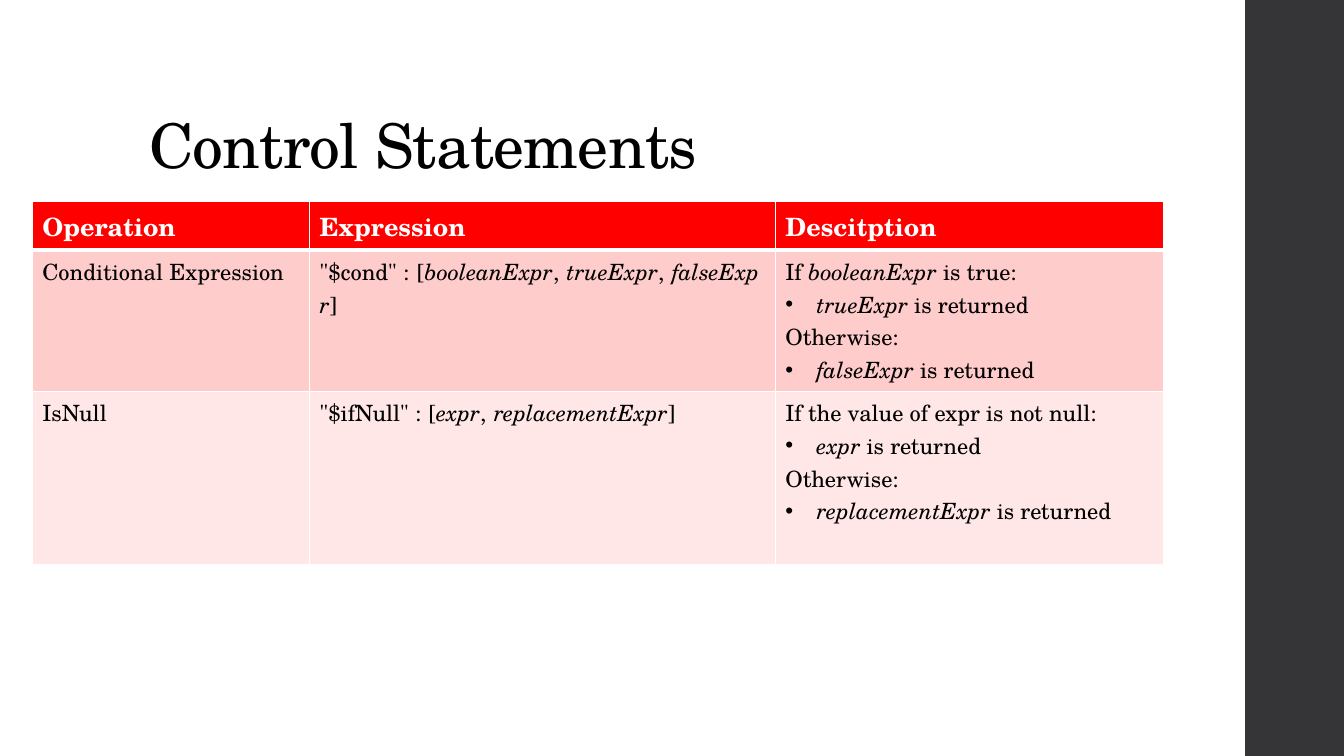
from dataclasses import dataclass

from lxml.etree import SubElement
from pptx import Presentation
from pptx.dml.color import RGBColor
from pptx.enum.shapes import MSO_SHAPE
from pptx.enum.text import MSO_ANCHOR
from pptx.oxml.ns import qn
from pptx.slide import Slide
from pptx.table import _Cell
from pptx.text.text import _Paragraph, _Run
from pptx.util import Inches, Pt


@dataclass(frozen=True)
class Theme:
    """Colours, font and type sizes of the slide."""
    font: str = "TeX Gyre Schola"
    ink: str = "000000"
    paper: str = "FFFFFF"
    sidebar: str = "353537"
    header: str = "FF0000"
    title_size: int = 44
    header_size: int = 18
    body_size: int = 16
    thin_rule: int = 1
    thick_rule: int = 3


@dataclass(frozen=True)
class TableRow:
    """A table row; asterisks enclose italics, a leading bullet makes a list item."""
    height: float
    fill: str
    cells: tuple[str, ...]


THEME = Theme()
BULLET = "•"
COLUMN_WIDTHS = (2.75, 4.62, 3.85)
ROWS = (
    TableRow(0.48, THEME.header, ("Operation", "Expression", "Descitption")),
    TableRow(1.4, "FFCCCC", (
        "Conditional Expression",
        '"$cond" :\u00a0[*booleanExpr*,\u00a0*trueExpr*,\u00a0*falseExpr*]',
        "If *booleanExpr* is true:\n•*trueExpr* is returned\n"
        "Otherwise:\n•*falseExpr* is returned")),
    TableRow(1.72, "FFE7E7", (
        "IsNull",
        '"$ifNull" :\u00a0[*expr*,\u00a0*replacementExpr*]',
        "If the value of expr is not null:\n•*expr* is returned\n"
        "Otherwise:\n•*replacementExpr* is returned")),
)


def style_span(span: _Run, size: int, color: str, bold: bool = False, italic: bool = False) -> None:
    """Apply the theme font and the given look to one run."""
    span.font.name = THEME.font
    span.font.size = Pt(size)
    span.font.color.rgb = RGBColor.from_string(color)
    span.font.bold = bold
    span.font.italic = italic


def add_bullet(para: _Paragraph) -> None:
    """Give a paragraph a hanging bullet."""
    properties = para._p.get_or_add_pPr()
    properties.set("marL", str(Inches(0.31)))
    properties.set("indent", str(-Inches(0.31)))
    SubElement(properties, qn("a:buFont"), typeface="Arial")
    SubElement(properties, qn("a:buChar"), char=BULLET)


def add_borders(cell: _Cell, top: int, bottom: int) -> None:
    """Draw the white rules around a cell."""
    properties = cell._tc.get_or_add_tcPr()
    widths = {"L": THEME.thin_rule, "R": THEME.thin_rule, "T": top, "B": bottom}
    for side, width in widths.items():
        line = SubElement(properties, qn(f"a:ln{side}"), w=str(Pt(width)))
        SubElement(SubElement(line, qn("a:solidFill")), qn("a:srgbClr"), val=THEME.paper)


def fill_cell(cell: _Cell, text: str, fill: str, is_header: bool) -> None:
    """Colour a cell and write its marked-up text."""
    cell.fill.solid()
    cell.fill.fore_color.rgb = RGBColor.from_string(fill)
    size = THEME.header_size if is_header else THEME.body_size
    color = THEME.paper if is_header else THEME.ink
    for index, line in enumerate(text.split("\n")):
        para = cell.text_frame.add_paragraph() if index else cell.text_frame.paragraphs[0]
        if line.startswith(BULLET):
            add_bullet(para)
        for position, part in enumerate(line.removeprefix(BULLET).split("*")):
            if part:
                span = para.add_run()
                span.text = part
                style_span(span, size, color, is_header, position % 2 == 1)


def draw_sidebar(page: Slide) -> None:
    """Draw the dark band on the right edge."""
    band = page.shapes.add_shape(
        MSO_SHAPE.RECTANGLE, Inches(12.35), Inches(0), Inches(0.98), Inches(7.5))
    band.shadow.inherit = False
    band.fill.solid()
    band.fill.fore_color.rgb = RGBColor.from_string(THEME.sidebar)
    band.line.fill.background()


def draw_title(page: Slide, text: str) -> None:
    """Write the slide title, seated at the bottom of its box."""
    box = page.shapes.add_textbox(Inches(1.38), Inches(0.4), Inches(10.6), Inches(1.45))
    frame = box.text_frame
    frame.word_wrap = True
    frame.vertical_anchor = MSO_ANCHOR.BOTTOM
    frame.text = text
    para = frame.paragraphs[0]
    para.line_spacing = 0.9
    span = para.runs[0]
    style_span(span, THEME.title_size, THEME.ink)
    span._r.get_or_add_rPr().set("spc", "-50")


def draw_table(page: Slide) -> None:
    """Build the table of control statements."""
    table = page.shapes.add_table(
        len(ROWS), len(COLUMN_WIDTHS), Inches(0.32), Inches(2),
        Inches(sum(COLUMN_WIDTHS)), Inches(sum(row.height for row in ROWS))).table
    for column, width in zip(table.columns, COLUMN_WIDTHS):
        column.width = Inches(width)
    for index, row in enumerate(ROWS):
        table.rows[index].height = Inches(row.height)
        top = THEME.thick_rule if index == 1 else THEME.thin_rule
        bottom = THEME.thick_rule if index == 0 else THEME.thin_rule
        for cell, text in zip(table.rows[index].cells, row.cells):
            add_borders(cell, top, bottom)
            fill_cell(cell, text, row.fill, index == 0)


def main() -> None:
    """Assemble and save the slide."""
    deck = Presentation()
    deck.slide_width, deck.slide_height = Inches(13.33), Inches(7.5)
    page = deck.slides.add_slide(deck.slide_layouts[6])
    draw_sidebar(page)
    draw_title(page, "Control Statements")
    draw_table(page)
    deck.save("out.pptx")


main()
